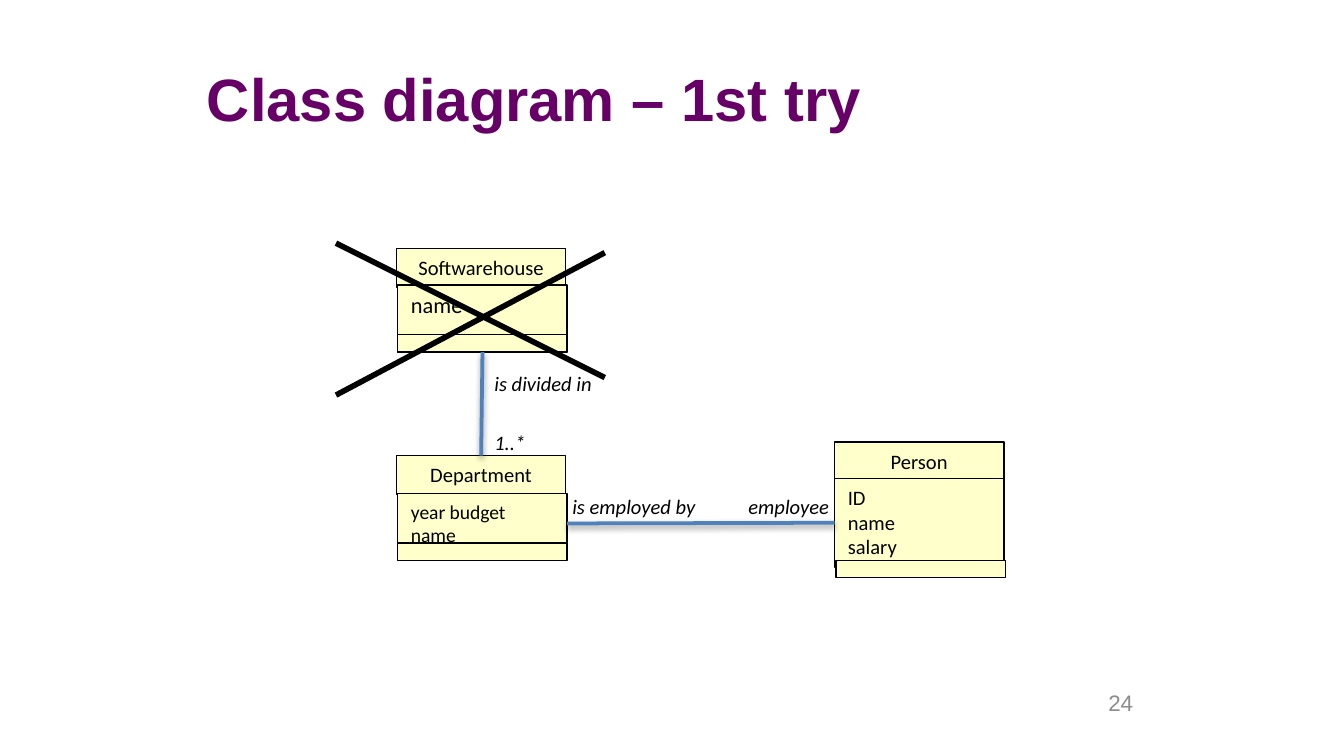
import pptx
import pptx.util
from lxml import etree
from pptx.dml.color import RGBColor
from pptx.enum.shapes import MSO_CONNECTOR, MSO_SHAPE
from pptx.enum.text import MSO_ANCHOR, MSO_AUTO_SIZE, PP_ALIGN
from pptx.oxml.ns import qn
from pptx.util import Inches

TITLE = "Class diagram – 1st try"
PAGE_NUMBER = "24"

# name, (left, top) of head, body and foot, body height, attributes, attribute size
CLASSES = [
    ("Person", (6.21, 3.29), (6.21, 3.56), (6.22, 4.17), 0.66,
     ["ID", "name", "salary"], 11),
    ("Department", (2.95, 3.39), (2.96, 3.67), (2.96, 4.04), 0.45,
     ["year budget", "name"], 10.5),
    ("Softwarehouse", (2.95, 1.85), (2.96, 2.12), (2.96, 2.49), 0.5,
     ["name"], 12),
]
CLASS_WIDTH, HEAD_HEIGHT, FOOT_HEIGHT = 1.26, 0.29, 0.13

# from class, part, side, to class, part, side
TOP, LEFT, BOTTOM, RIGHT = range(4)
ASSOCIATIONS = [
    ("Department", "body", RIGHT, "Person", "body", LEFT),
    ("Softwarehouse", "foot", BOTTOM, "Department", "head", TOP),
]
ASSOCIATION_LABELS = [
    ("is divided in", 3.58, 2.71),
    ("1..*", 3.58, 3.15),
    ("is employed by", 4.16, 3.63),
    ("employee", 5.47, 3.63),
]
CROSS_STROKES = [(2.5, 1.81, 4.5, 2.81), (2.5, 2.94, 4.5, 1.88)]


def color(hex_code):
    return RGBColor.from_string(hex_code)


def write(frame, lines, size, font="Calibri", ink="000000", align=PP_ALIGN.LEFT,
          bold=False, italic=False):
    frame.word_wrap = True
    for index, line in enumerate(lines):
        paragraph = frame.add_paragraph() if index else frame.paragraphs[0]
        paragraph.alignment = align
        run = paragraph.add_run()
        run.text = line
        run.font.size = pptx.util.Pt(size)
        run.font.name = font
        run.font.bold = bold
        run.font.italic = italic
        run.font.color.rgb = color(ink)


def add_compartment(left, top, height):
    box = slide.shapes.add_shape(MSO_SHAPE.RECTANGLE, Inches(left), Inches(top),
                                 Inches(CLASS_WIDTH), Inches(height))
    box.shadow.inherit = False
    box.fill.solid()
    box.fill.fore_color.rgb = color("FFFFCC")
    box.line.color.rgb = color("000000")
    box.line.width = pptx.util.Pt(0.75)
    box.text_frame.vertical_anchor = MSO_ANCHOR.TOP
    return box


def add_line(x1, y1, x2, y2, ink, width):
    """Draw a straight line; return it with its empty effect list."""
    line = slide.shapes.add_connector(MSO_CONNECTOR.STRAIGHT, Inches(x1), Inches(y1),
                                      Inches(x2), Inches(y2))
    line.line.color.rgb = color(ink)
    line.line.width = pptx.util.Pt(width)
    effects = etree.SubElement(line._element.spPr, qn("a:effectLst"))
    return line, effects


def add_shadow(effects):
    shadow = etree.SubElement(effects, qn("a:outerShdw"), blurRad="40000",
                              dist="20000", dir="5400000", rotWithShape="0")
    black = etree.SubElement(shadow, qn("a:srgbClr"), val="000000")
    etree.SubElement(black, qn("a:alpha"), val="38000")


def add_text_box(left, top, width, height):
    return slide.shapes.add_textbox(Inches(left), Inches(top), Inches(width),
                                    Inches(height)).text_frame


deck = pptx.Presentation()
deck.slide_width = Inches(10)
deck.slide_height = Inches(10 * 9 / 16)
slide = deck.slides.add_slide(deck.slide_layouts[5])

title = slide.shapes.title
title.left, title.top = Inches(1.44), Inches(0.38)
title.width, title.height = Inches(6.38), Inches(0.69)
title.text_frame.vertical_anchor = MSO_ANCHOR.MIDDLE
write(title.text_frame, [TITLE], 32, "Arial", "660066", bold=True)

compartments = {}
for name, head_at, body_at, foot_at, body_height, attributes, size in CLASSES:
    head = add_compartment(*head_at, HEAD_HEIGHT)
    body = add_compartment(*body_at, body_height)
    foot = add_compartment(*foot_at, FOOT_HEIGHT)
    write(head.text_frame, [name], 11, align=PP_ALIGN.CENTER)
    write(body.text_frame, attributes, size)
    for part in (head, body):
        part.text_frame.auto_size = MSO_AUTO_SIZE.SHAPE_TO_FIT_TEXT
    compartments[name] = {"head": head, "body": body, "foot": foot}

for source, source_part, source_side, target, target_part, target_side in ASSOCIATIONS:
    association, effects = add_line(0, 0, 0, 0, "4F81BD", 2)
    association.begin_connect(compartments[source][source_part], source_side)
    association.end_connect(compartments[target][target_part], target_side)
    add_shadow(effects)

for label, left, top in ASSOCIATION_LABELS:
    frame = add_text_box(left, top, 1.54, 0.29)
    write(frame, [label], 11, italic=True)
    frame.auto_size = MSO_AUTO_SIZE.SHAPE_TO_FIT_TEXT

for stroke in CROSS_STROKES:
    add_line(*stroke, "000000", 3)

page_frame = add_text_box(7.62, 5.08, 0.91, 0.3)
page_frame.vertical_anchor = MSO_ANCHOR.MIDDLE
write(page_frame, [PAGE_NUMBER], 12, "Arial", "8C8C8C", PP_ALIGN.RIGHT)

deck.save("out.pptx")
